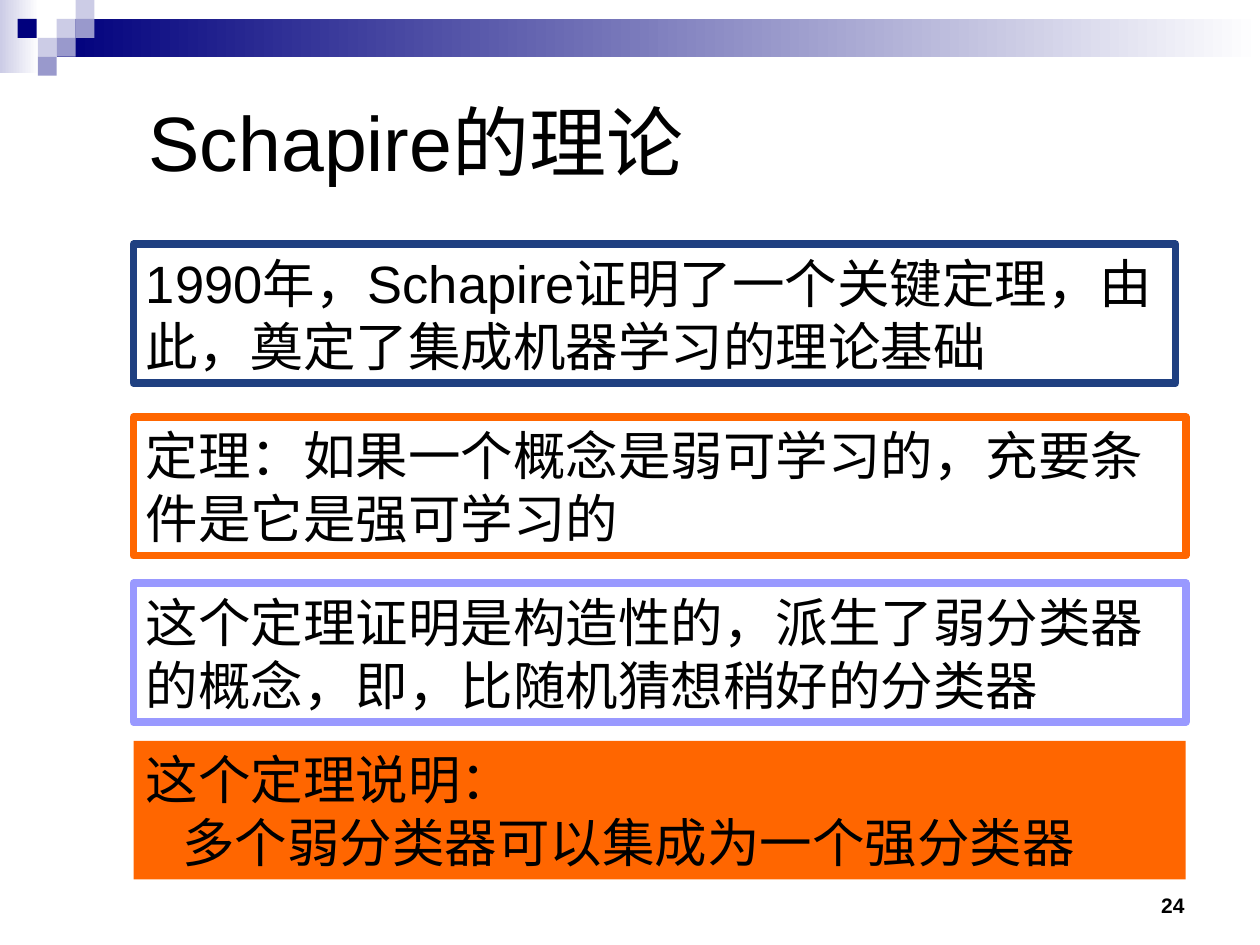
from pptx import Presentation
from pptx.dml.color import RGBColor
from pptx.enum.shapes import MSO_SHAPE as Shape
from pptx.enum.text import MSO_ANCHOR as Anchor, MSO_AUTO_SIZE as AutoSize, PP_ALIGN as Align
from pptx.util import Inches, Pt

BLACK = RGBColor(0x00, 0x00, 0x00)
WHITE = RGBColor(0xFF, 0xFF, 0xFF)
NAVY = RGBColor(0x00, 0x00, 0x7D)
PALE = RGBColor(0xCC, 0xCC, 0xE6)
LILAC = RGBColor(0x99, 0x99, 0xCC)
BLUE = RGBColor(0x1F, 0x40, 0x81)
ORANGE = RGBColor(0xFF, 0x66, 0x00)
VIOLET = RGBColor(0x99, 0x99, 0xFF)

TILE = 0.15
BOX_LEFT, BOX_HEIGHT = 1.06, 1.1
BODY = {"name": "Arial", "size": Pt(30)}

# left, top, colour of the header tiles
TILES = [
    (0.45, 0.15, PALE), (0.6, 0, PALE), (0.6, 0.15, LILAC), (0.3, 0.3, PALE),
    (0.14, 0.15, NAVY), (0.45, 0.3, LILAC), (0.3, 0.45, LILAC),
]

# top, width, fill, line, space before, paragraphs as (text, indent)
BOXES = [
    (1.94, 8.27, None, BLUE,
     [("1990年，Schapire证明了一个关键定理，由此，奠定了集成机器学习的理论基础", 0)]),
    (3.31, 8.35, WHITE, ORANGE,
     [("定理：如果一个概念是弱可学习的，充要条件是它是强可学习的", 0)]),
    (4.63, 8.35, None, VIOLET,
     [("这个定理证明是构造性的，派生了弱分类器的概念，即，比随机猜想稍好的分类器", 0)]),
    (5.88, 8.35, ORANGE, None,
     [("这个定理说明：", 0), ("多个弱分类器可以集成为一个强分类器", 0.29)]),
]


def set_font(p, **values):
    for key, value in values.items():
        setattr(p.font, key, value)
    p.font.color.rgb = BLACK


def add_rect(slide, left, top, width, height, fill=None, line=None):
    sp = slide.shapes.add_shape(Shape.RECTANGLE, Inches(left), Inches(top),
                                Inches(width), Inches(height))
    sp.shadow.inherit = False
    if fill is None:
        sp.fill.background()
    else:
        sp.fill.solid()
        sp.fill.fore_color.rgb = fill
    if line is None:
        sp.line.fill.background()
    else:
        sp.line.color.rgb = line
        sp.line.width = Pt(4.5)
    return sp


def add_fade(slide, left, top, width, height, color):
    sp = add_rect(slide, left, top, width, height)
    sp.fill.gradient()
    sp.fill.gradient_angle = 0
    for stop, rgb in zip(sp.fill.gradient_stops, (color, WHITE)):
        stop.color.rgb = rgb


def add_title(slide, text):
    sp = slide.shapes.title
    sp.left, sp.top, sp.width, sp.height = map(Inches, (1.08, 0.67, 7.83, 0.9))
    tf = sp.text_frame
    tf.text = text
    tf.vertical_anchor = Anchor.MIDDLE
    p = tf.paragraphs[0]
    p.alignment = Align.LEFT
    set_font(p, name="Arial", size=Pt(44))


def add_text_box(slide, top, width, fill, line, paragraphs):
    sp = add_rect(slide, BOX_LEFT, top, width, BOX_HEIGHT, fill, line)
    tf = sp.text_frame
    tf.word_wrap = True
    tf.auto_size = AutoSize.SHAPE_TO_FIT_TEXT
    tf.vertical_anchor = Anchor.TOP
    for i, (text, indent) in enumerate(paragraphs):
        p = tf.add_paragraph() if i else tf.paragraphs[0]
        p.text = text
        p.alignment = Align.LEFT
        if indent:
            p._p.get_or_add_pPr().set("marL", str(Inches(indent)))
        set_font(p, **BODY)


def add_page_number(slide, text):
    sp = slide.shapes.add_textbox(Inches(7.17), Inches(6.83), Inches(2.33), Inches(0.5))
    tf = sp.text_frame
    tf.word_wrap = True
    tf.vertical_anchor = Anchor.BOTTOM
    p = tf.paragraphs[0]
    p.text = text
    p.alignment = Align.RIGHT
    p.space_after = Pt(3)
    set_font(p, name="Arial", size=Pt(12), bold=True)


def main():
    prs = Presentation()
    prs.slide_width, prs.slide_height = Inches(10), Inches(7.5)
    slide = prs.slides.add_slide(prs.slide_layouts[5])

    # Header band and tiles
    add_fade(slide, 0, 0, 0.31, 0.58, PALE)
    add_fade(slide, 0.45, 0.15, 9.55, 0.3, NAVY)
    for left, top, color in TILES:
        add_rect(slide, left, top, TILE, TILE, color)

    # Title, statements and page number
    add_title(slide, "Schapire的理论")
    for box in BOXES:
        add_text_box(slide, *box)
    add_page_number(slide, "24")

    prs.save("out.pptx")


if __name__ == "__main__":
    main()
